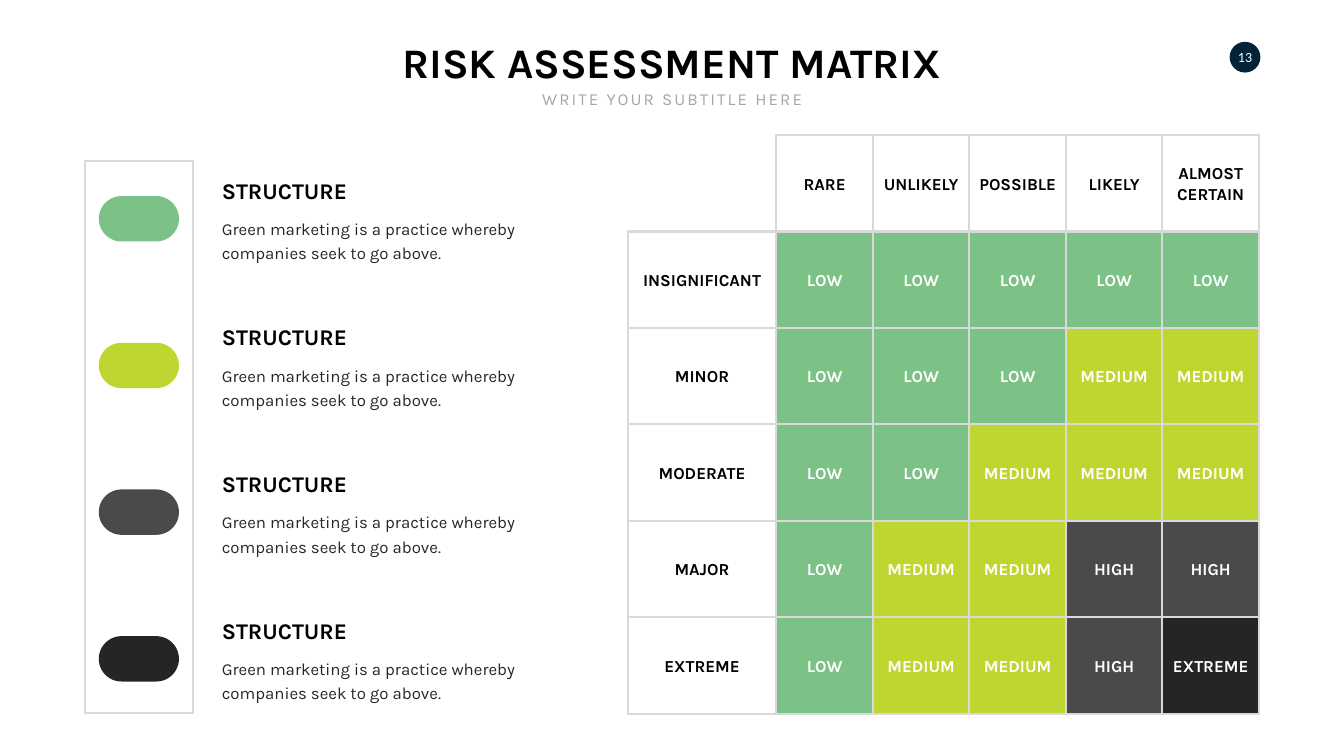
from dataclasses import dataclass

from pptx import Presentation
from pptx.dml.color import RGBColor
from pptx.enum.shapes import MSO_SHAPE
from pptx.enum.text import MSO_ANCHOR, MSO_AUTO_SIZE, PP_ALIGN
from pptx.util import Inches, Pt

RECTANGLE, PILL, OVAL = MSO_SHAPE.RECTANGLE, MSO_SHAPE.ROUNDED_RECTANGLE, MSO_SHAPE.OVAL
TOP, MIDDLE, BOTTOM = MSO_ANCHOR.TOP, MSO_ANCHOR.MIDDLE, MSO_ANCHOR.BOTTOM
LEFT, CENTER = PP_ALIGN.LEFT, PP_ALIGN.CENTER
FIXED = MSO_AUTO_SIZE.NONE


@dataclass(frozen=True)
class Theme:
    """Colours, line width and type styles of the slide."""
    white: str = "FFFFFF"
    black: str = "000000"
    body: str = "272727"
    muted: str = "A6A6A6"
    border: str = "D9D9D9"
    badge: str = "022338"
    low: str = "7CC287"
    medium: str = "BED62F"
    high: str = "4A4A4C"
    extreme: str = "252526"
    border_width: float = 3

    def font(self, role):
        """Return the font values for a text role."""
        sizes = {"title": 60, "heading": 32, "label": 24, "body": 24, "subtitle": 24, "badge": 20}
        return {"name": "Calibri" if role == "badge" else "Karla",
                "size": Pt(sizes[role]),
                "bold": role in ("title", "heading", "label")}


THEME = Theme()
LEVELS = {"LOW": THEME.low, "MEDIUM": THEME.medium, "HIGH": THEME.high, "EXTREME": THEME.extreme}
LIKELIHOODS = ["RARE", "UNLIKELY", "POSSIBLE", "LIKELY", "ALMOST\nCERTAIN"]
RISKS = {
    "INSIGNIFICANT": ["LOW", "LOW", "LOW", "LOW", "LOW"],
    "MINOR": ["LOW", "LOW", "LOW", "MEDIUM", "MEDIUM"],
    "MODERATE": ["LOW", "LOW", "MEDIUM", "MEDIUM", "MEDIUM"],
    "MAJOR": ["LOW", "MEDIUM", "MEDIUM", "HIGH", "HIGH"],
    "EXTREME": ["LOW", "MEDIUM", "MEDIUM", "HIGH", "EXTREME"],
}
LEGEND_TEXT = "Green marketing is a practice whereby companies seek to go above."


@dataclass(frozen=True)
class Box:
    """A rectangle in inches that yields smaller boxes."""
    left: float
    top: float
    width: float
    height: float

    def share(self, left, top, width, height):
        """Return a smaller box given in percent of this one."""
        return Box(self.left + self.width * left / 100, self.top + self.height * top / 100,
                   self.width * width / 100, self.height * height / 100)

    def cell(self, column, row, columns, rows):
        """Return one cell of an even grid over this box."""
        return self.share(100 * column / columns, 100 * row / rows, 100 / columns, 100 / rows)

    def lengths(self):
        """Return left, top, width and height as slide lengths."""
        return [Inches(value) for value in (self.left, self.top, self.width, self.height)]


def apply(target, values):
    """Set each named value on the target."""
    for name, value in values.items():
        setattr(target, name, value)


def write(shape, text, role, color, align=CENTER, anchor=MIDDLE, **para_format):
    """Put styled text into a shape."""
    frame = shape.text_frame
    apply(frame, {"text": text, "word_wrap": True, "auto_size": FIXED, "vertical_anchor": anchor})
    for para in frame.paragraphs:
        apply(para, {"alignment": align, **para_format})
        for span in para.runs:
            apply(span.font, THEME.font(role))
            span.font.color.rgb = RGBColor.from_string(color)
    return frame


def add_block(page, kind, box, fill, bordered=False):
    """Add a filled shape, with the theme border if asked."""
    block = page.shapes.add_shape(kind, *box.lengths())
    block.shadow.inherit = False
    block.fill.solid()
    block.fill.fore_color.rgb = RGBColor.from_string(fill)
    if bordered:
        block.line.color.rgb = RGBColor.from_string(THEME.border)
        block.line.width = Pt(THEME.border_width)
    else:
        block.line.fill.background()
    return block


def add_header(page, box):
    """Place the title and the spaced subtitle."""
    title = page.shapes.title
    apply(title, dict(zip(("left", "top", "width", "height"), box.share(0, 0, 100, 71.61).lengths())))
    write(title, "RISK ASSESSMENT MATRIX", "title", THEME.black, anchor=TOP)
    subtitle = page.shapes.add_textbox(*box.share(25.93, 67.74, 48.22, 32.26).lengths())
    frame = write(subtitle, "WRITE YOUR SUBTITLE HERE", "subtitle", THEME.muted, anchor=TOP)
    frame.paragraphs[0].runs[0].font._element.set("spc", "300")


def add_badge(page, box):
    """Place the page number in its disc."""
    badge = add_block(page, OVAL, box, THEME.badge)
    frame = write(badge, "13", "badge", THEME.white)
    apply(frame, dict.fromkeys(("margin_left", "margin_top", "margin_right", "margin_bottom"), 0))


def add_matrix(page, box):
    """Place the headings and rated cells of the matrix."""
    labels, grid = box.share(0, 0, 23.56, 100), box.share(23.56, 0, 76.44, 100)
    rows, columns = len(RISKS) + 1, len(LIKELIHOODS)

    def add_cell(area, text, fill, color):
        """Place one bordered cell with its label."""
        write(add_block(page, RECTANGLE, area, fill, bordered=True), text, "label", color)

    for column, likelihood in enumerate(LIKELIHOODS):
        add_cell(grid.cell(column, 0, columns, rows), likelihood, THEME.white, THEME.black)
    for row, (impact, levels) in enumerate(RISKS.items(), start=1):
        add_cell(labels.cell(0, row, 1, rows), impact, THEME.white, THEME.black)
        for column, level in enumerate(levels):
            add_cell(grid.cell(column, row, columns, rows), level, LEVELS[level], THEME.white)


def add_legend_entry(page, box, fill):
    """Place one colour pill with its heading and text."""
    pill = add_block(page, PILL, box.share(3.02, 24.72, 17.81, 50.56), fill)
    pill.adjustments[0] = 0.5
    heading = page.shapes.add_textbox(*box.share(29.23, 0, 31.47, 35.96).lengths())
    write(heading, "STRUCTURE", "heading", THEME.black, LEFT, BOTTOM)
    body = page.shapes.add_textbox(*box.share(29.23, 42.13, 70.77, 57.87).lengths())
    write(body, LEGEND_TEXT, "body", THEME.body, LEFT, TOP, line_spacing=Pt(35))


def add_legend(page, box):
    """Place the framed bar and one entry per risk level."""
    add_block(page, RECTANGLE, box.share(0, 0, 23.96, 100), THEME.white, bordered=True)
    for index, fill in enumerate(LEVELS.values()):
        add_legend_entry(page, box.share(0, 2.37 + 26.58 * index, 100, 16.26), fill)


def main():
    """Build and save the deck."""
    deck = Presentation()
    slide_box = Box(0, 0, 26.66, 15)
    deck.slide_width, deck.slide_height = Inches(slide_box.width), Inches(slide_box.height)
    page = deck.slides.add_slide(deck.slide_layouts[5])
    add_badge(page, slide_box.share(91.49, 5.53, 2.29, 4.07))
    add_matrix(page, slide_box.share(46.7, 17.87, 46.97, 76.53))
    add_legend(page, slide_box.share(6.34, 21.27, 33.5, 73))
    add_header(page, slide_box.share(28.88, 4.47, 42.24, 10.33))
    deck.save("out.pptx")


if __name__ == "__main__":
    main()
